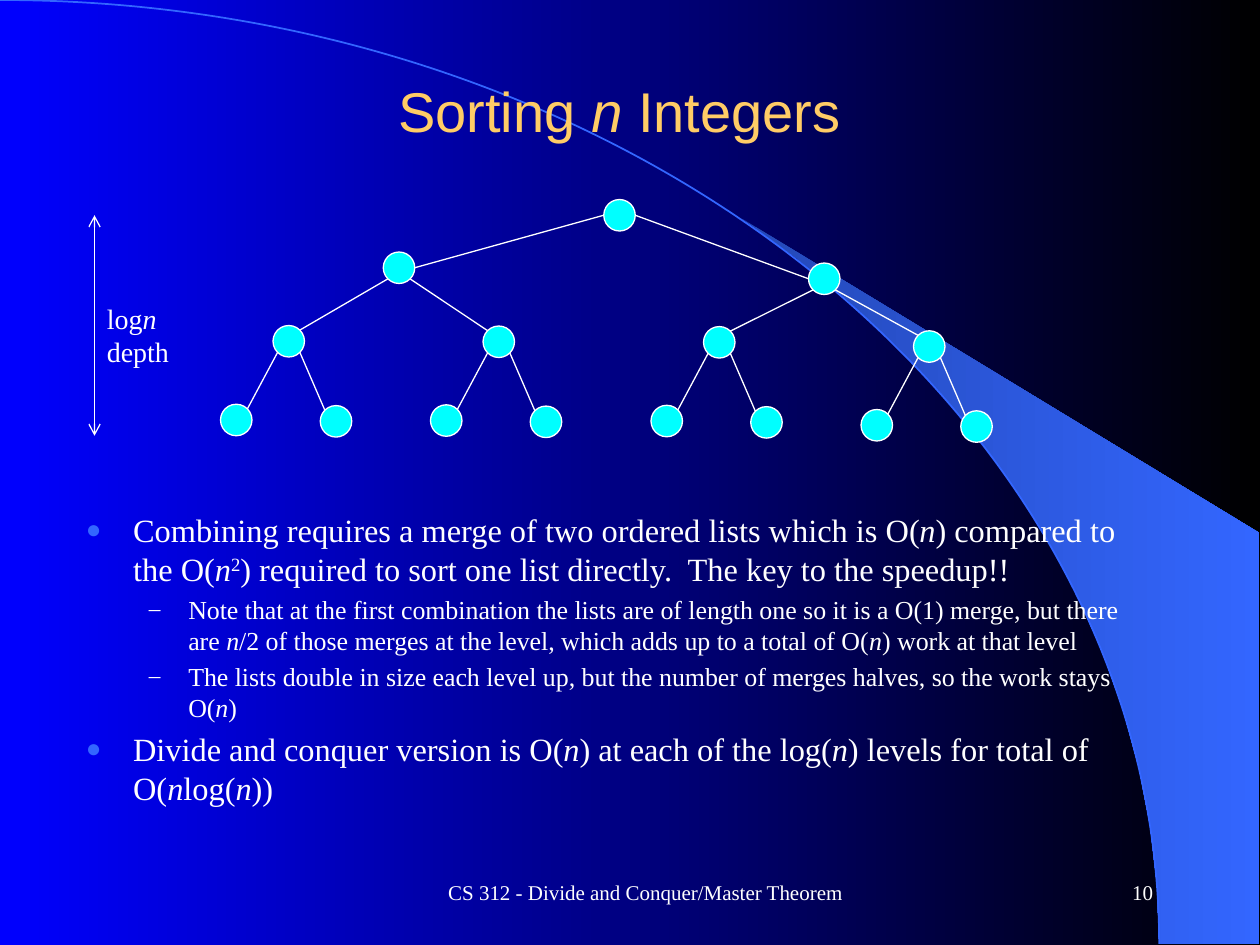
from math import cos, radians, sin

from lxml import etree
from pptx import Presentation
from pptx.dml.color import RGBColor
from pptx.enum.shapes import MSO_CONNECTOR, MSO_SHAPE
from pptx.enum.text import MSO_ANCHOR, MSO_AUTO_SIZE, PP_ALIGN
from pptx.oxml.ns import qn
from pptx.util import Inches, Pt

LEFT, CENTER, RIGHT = PP_ALIGN.LEFT, PP_ALIGN.CENTER, PP_ALIGN.RIGHT
TOP, MIDDLE = MSO_ANCHOR.TOP, MSO_ANCHOR.MIDDLE
OVAL, STRAIGHT = MSO_SHAPE.OVAL, MSO_CONNECTOR.STRAIGHT
FIT_TEXT = MSO_AUTO_SIZE.SHAPE_TO_FIT_TEXT
rgb = RGBColor.from_string

WHITE, GOLD, CYAN, BLUE = "FFFFFF", "FFCC66", "00FFFF", "3366FF"
SERIF, SANS = "Times New Roman", "Arial"
CELL = Inches(1) / 24  # the slide is a grid of 240 columns by 180 rows
COLUMNS, ROWS = 240, 180

prs = Presentation()
prs.slide_width, prs.slide_height = int(COLUMNS * CELL), int(ROWS * CELL)
slide = prs.slides.add_slide(prs.slide_layouts[6])
shapes = slide.shapes


def apply_gradient(fill, *stop_colors):
    fill.gradient()
    fill.gradient_angle = 0
    for stop, color in zip(fill.gradient_stops, stop_colors):
        stop.color.rgb = rgb(color)


def write(paragraph, marked, size, font=SERIF, color=WHITE):
    """Add runs: *italic* and ^superscript^."""
    look = {"size": Pt(size), "name": font}
    for i, part in enumerate(marked.split("*")):
        for j, words in enumerate(part.split("^")):
            if not words:
                continue
            run = paragraph.add_run()
            run.text = words
            for key, value in look.items():
                setattr(run.font, key, value)
            run.font.color.rgb = rgb(color)
            if i % 2:
                run.font.italic = True
            if j % 2:
                run.font._rPr.set("baseline", "30000")


# Background
apply_gradient(slide.background.fill, "0000FF", "000000")

# Wedge: its inner edge follows a quarter ellipse, its left end is a shade of blue
ARC_WIDTH, ARC_HEIGHT = 220.8 * CELL, 179.8 * CELL
WEDGE_ANGLE, WEDGE_STEPS = 39.8, 14
angles = [radians(WEDGE_ANGLE + (90 - WEDGE_ANGLE) * n / WEDGE_STEPS)
          for n in range(WEDGE_STEPS + 1)]
inner_edge = [(ARC_WIDTH * sin(a), ARC_HEIGHT * (1 - cos(a))) for a in angles]
wedge_corners = [(CELL * 239.8, CELL * 179.8), (CELL * 239.8, CELL * 101.5)]
wedge_outline = shapes.build_freeform(*inner_edge[0])
wedge_outline.add_line_segments(inner_edge[1:] + wedge_corners, close=True)
wedge = wedge_outline.convert_to_shape()
apply_gradient(wedge.fill, BLUE, BLUE)
dark_end = next(wedge._element.spPr.iter(qn("a:srgbClr")))
etree.SubElement(dark_end, qn("a:shade"), val="46275")
wedge.line.fill.background()

# Arc: one curve instead of the straight segment
arc_outline = shapes.build_freeform(0, 0)
arc_outline.add_line_segments([(ARC_WIDTH, ARC_HEIGHT)], close=False)
arc = arc_outline.convert_to_shape()
segment = next(arc._element.iter(qn("a:lnTo")))
curve = etree.Element(qn("a:cubicBezTo"))
for x, y in ((0.55, 0), (1, 0.45), (1, 1)):
    etree.SubElement(curve, qn("a:pt"), x=str(int(x * ARC_WIDTH)), y=str(int(y * ARC_HEIGHT)))
segment.getparent().replace(segment, curve)
arc.fill.background()
arc.line.color.rgb = rgb(BLUE)
arc.line.width = Pt(1)
for sweep_part in (wedge, arc):
    sweep_part.shadow.inherit = False

# Title, footer, page number and depth label: (grid box, align, anchor, lines, style)
texts = [
    ((16, 10, 204, 22), CENTER, MIDDLE, ["Sorting *n* Integers"], (32, SANS, GOLD)),
    ((76, 164, 94, 12), CENTER, MIDDLE,
     ["CS 312 - Divide and Conquer/Master Theorem"], (12,)),
    ((172, 164, 50, 12), RIGHT, MIDDLE, ["10"], (12,)),
    ((18, 56.2, 16.8, 15.4), LEFT, TOP, ["log*n*", "depth"], (16,)),
]
for box, align, anchor, lines, style in texts:
    frame = shapes.add_textbox(*(int(n * CELL) for n in box)).text_frame
    frame.word_wrap = True
    frame.vertical_anchor = anchor
    for number, words in enumerate(lines):
        paragraph = frame.add_paragraph() if number else frame.paragraphs[0]
        paragraph.alignment = align
        write(paragraph, words, *style)
depth_frame = frame
depth_frame.word_wrap = False
depth_frame.auto_size = FIT_TEXT

# Body bullets, indents in grid columns
LEVELS = [
    {"size": 18.5, "indent": 9, "hang": 9, "bullet": "●", "color": BLUE, "scale": 80},
    {"size": 14.8, "indent": 19.5, "hang": 7.5, "bullet": "–", "color": WHITE, "scale": 90},
]
points = [
    (0, "Combining requires a merge of two ordered lists which is O(*n*) compared to "
        "the O(*n*^2^) required to sort one list directly.  The key to the speedup!!"),
    (1, "Note that at the first combination the lists are of length one so it is a "
        "O(1) merge, but there are *n*/2 of those merges at the level, which adds up "
        "to a total of O(*n*) work at that level"),
    (1, "The lists double in size each level up, but the number of merges halves, "
        "so the work stays O(*n*)"),
    (0, "Divide and conquer version is O(*n*) at each of the log(*n*) levels for "
        "total of O(*n*log(*n*))"),
]
body = shapes.add_textbox(*(int(n * CELL) for n in (14, 96, 206, 64))).text_frame
body.word_wrap = True
for number, (depth, words) in enumerate(points):
    level = LEVELS[depth]
    paragraph = body.add_paragraph() if number else body.paragraphs[0]
    paragraph.level = depth
    paragraph.space_before = Pt(level["size"] * 0.2)
    props = paragraph._p.get_or_add_pPr()
    props.set("marL", str(int(level["indent"] * CELL)))
    props.set("indent", str(int(-level["hang"] * CELL)))
    bullet_color = etree.SubElement(props, qn("a:buClr"))
    etree.SubElement(bullet_color, qn("a:srgbClr"), val=level["color"])
    etree.SubElement(props, qn("a:buSzPct"), val=str(level["scale"] * 1000))
    etree.SubElement(props, qn("a:buFont"), typeface=SERIF)
    etree.SubElement(props, qn("a:buChar"), char=level["bullet"])
    write(paragraph, words, level["size"])

# Recursion tree in level order, as grid positions of the node centres
RADIUS = 3
DIAGONAL = RADIUS * cos(radians(45))
nodes = [(118, 41), (76, 51), (157, 53.1),
         (55, 65), (95, 65.1), (137, 65.2), (177, 66)]
nodes += [(x + dx, y + dy) for x, y in nodes[3:] for dx, dy in ((-10, 15), (9, 15.25))]
for x, y in nodes:
    node = shapes.add_shape(OVAL, *(int(n * CELL) for n in (
        x - RADIUS, y - RADIUS, 2 * RADIUS, 2 * RADIUS)))
    node.shadow.inherit = False
    node.fill.solid()
    node.fill.fore_color.rgb = rgb(CYAN)
    node.line.color.rgb = rgb(WHITE)
    node.line.width = Pt(0.75)

# Branches leave the root sideways and every other node diagonally
branches = []
for child in range(1, len(nodes)):
    parent = (child - 1) // 2
    side = -1 if child % 2 else 1
    dx, dy = (DIAGONAL, DIAGONAL) if parent else (RADIUS, 0)
    (px, py), (cx, cy) = nodes[parent], nodes[child]
    branches.append((px + side * dx, py + dy, cx - side * dx, cy - dy))
depth_arrow = (18, 41, 18, 83)
for ends in branches + [depth_arrow]:
    line = shapes.add_connector(STRAIGHT, *(int(n * CELL) for n in ends))
    line.line.color.rgb = rgb(WHITE)
    line.line.width = Pt(0.75)
    if ends == depth_arrow:
        for tip in ("a:headEnd", "a:tailEnd"):
            etree.SubElement(line.line._get_or_add_ln(), qn(tip), type="arrow")
    etree.SubElement(line._element.spPr, qn("a:effectLst"))

prs.save("out.pptx")
